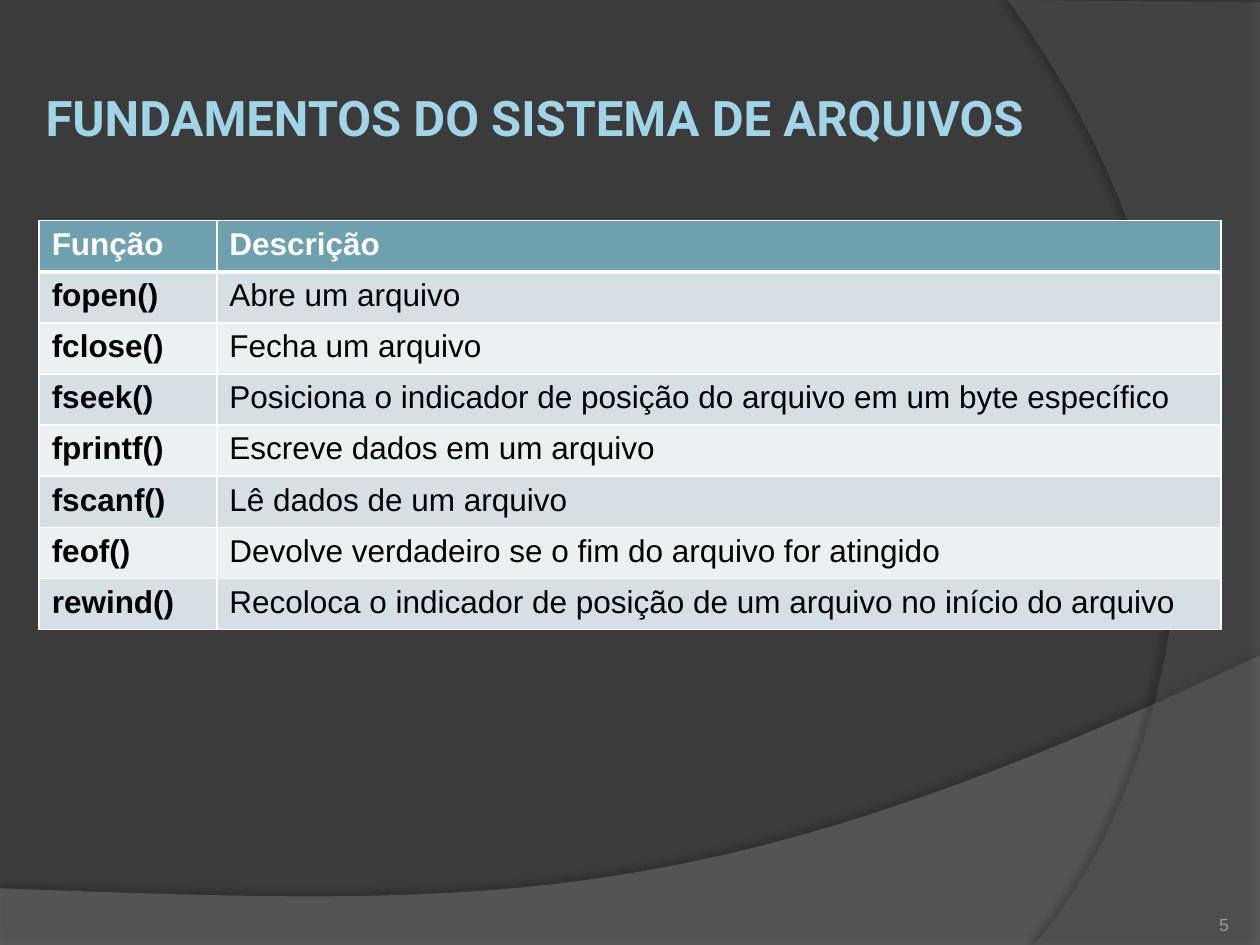
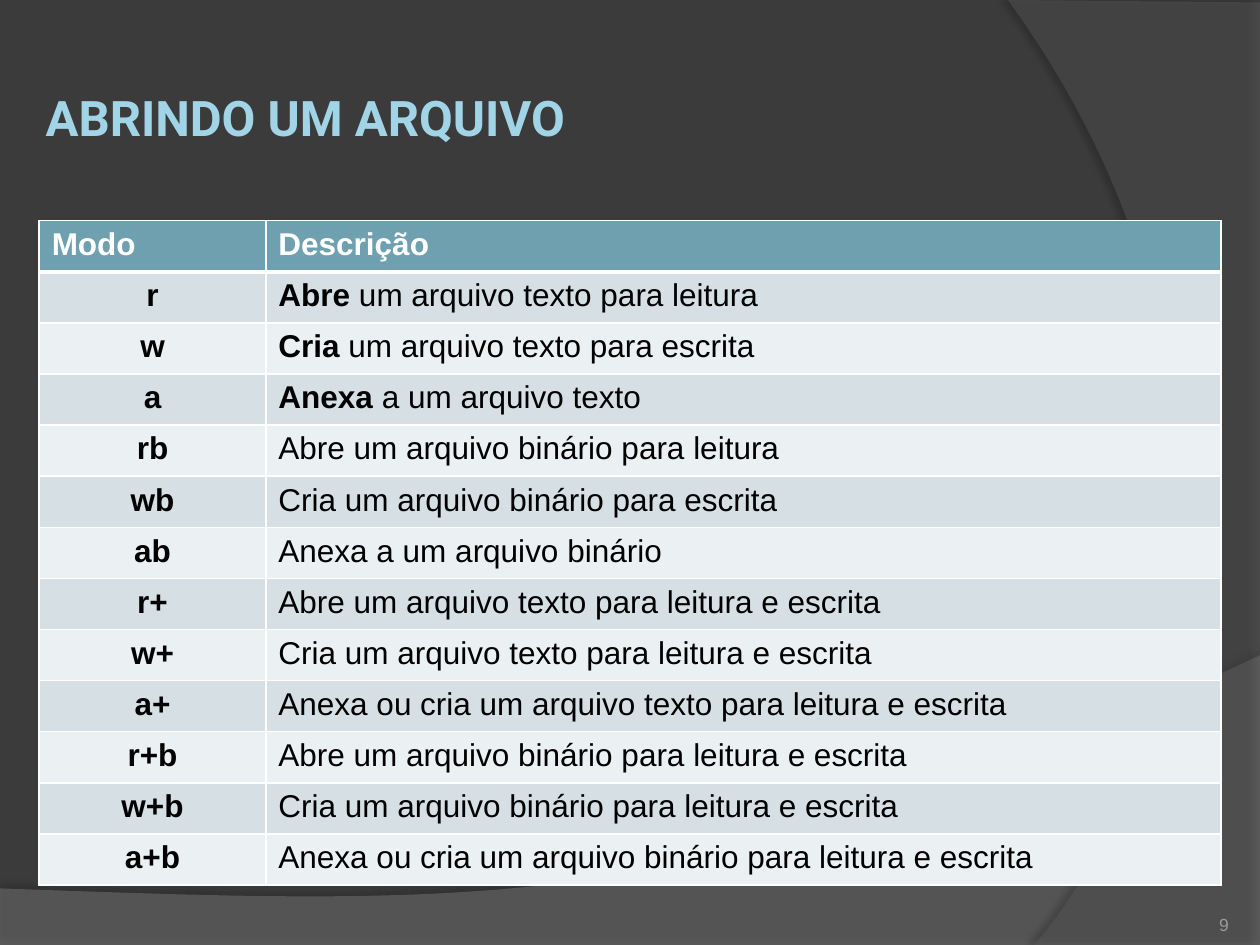
from lxml import etree
from pptx import Presentation
from pptx.dml.color import RGBColor
from pptx.enum.text import MSO_ANCHOR, PP_ALIGN
from pptx.oxml.ns import qn
from pptx.util import Cm, Pt

LEFT, MID, RIGHT = PP_ALIGN.LEFT, PP_ALIGN.CENTER, PP_ALIGN.RIGHT
CENTER, BOTTOM = MSO_ANCHOR.MIDDLE, MSO_ANCHOR.BOTTOM

BACK = RGBColor(0x3B, 0x3B, 0x3B)
SWEEP = RGBColor(0x7F, 0x7F, 0x7F)
ARC = RGBColor(0x5E, 0x5E, 0x5E)
SKY = RGBColor(0xA1, 0xD4, 0xE7)
TEAL = RGBColor(0x6E, 0xA0, 0xB0)
DARK = RGBColor(0xD5, 0xDF, 0xE4)
PALE = RGBColor(0xEB, 0xF0, 0xF2)
GREY = RGBColor(0x9D, 0x9B, 0x9A)
WHITE = RGBColor(0xFF, 0xFF, 0xFF)
BLACK = RGBColor(0, 0, 0)

WIDE, HIGH = 25.4, 19.05
EDGE, SPAN = 0.79, 23.82
TOP, ROW = 4.45, 1.03

SLIDES = [
    {
        "title": "FUNDAMENTOS DO SISTEMA DE ARQUIVOS",
        "page": "5",
        "first": 3.58,
        "align": LEFT,
        "rows": [
            ("Função", "Descrição"),
            ("fopen()", "Abre um arquivo"),
            ("fclose()", "Fecha um arquivo"),
            ("fseek()", "Posiciona o indicador de posição do arquivo em um byte específico"),
            ("fprintf()", "Escreve dados em um arquivo"),
            ("fscanf()", "Lê dados de um arquivo"),
            ("feof()", "Devolve verdadeiro se o fim do arquivo for atingido"),
            ("rewind()", "Recoloca o indicador de posição de um arquivo no início do arquivo"),
        ],
    },
    {
        "title": "ABRINDO UM ARQUIVO",
        "page": "9",
        "first": 4.57,
        "align": MID,
        "rows": [
            ("Modo", "Descrição"),
            ("r", "*Abre* um arquivo texto para leitura"),
            ("w", "*Cria* um arquivo texto para escrita"),
            ("a", "*Anexa* a um arquivo texto"),
            ("rb", "Abre um arquivo binário para leitura"),
            ("wb", "Cria um arquivo binário para escrita"),
            ("ab", "Anexa a um arquivo binário"),
            ("r+", "Abre um arquivo texto para leitura e escrita"),
            ("w+", "Cria um arquivo texto para leitura e escrita"),
            ("a+", "Anexa ou cria um arquivo texto para leitura e escrita"),
            ("r+b", "Abre um arquivo binário para leitura e escrita"),
            ("w+b", "Cria um arquivo binário para leitura e escrita"),
            ("a+b", "Anexa ou cria um arquivo binário para leitura e escrita"),
        ],
    },
]

BANDS = [
    {
        "curve": [(WIDE, 13.21), (14.2, 18.52), (9.93, 18.26), (0, 17.91)],
        "rest": [(0, HIGH), (WIDE, HIGH)],
        "color": SWEEP, "alpha": 45, "shade": 35, "dist": 3.5, "angle": 270,
    },
    {
        "curve": [(20.85, HIGH), (23.75, 15.72), (25.86, 7.62), (20.32, 0)],
        "rest": [(WIDE, 0.05), (WIDE, HIGH)],
        "color": ARC, "alpha": 40, "shade": 45, "dist": 4, "angle": 180,
    },
]


def node(parent, tag, **attrs):
    return etree.SubElement(parent, qn(tag), {k: str(v) for k, v in attrs.items()})


def bezier(a, b, c, d, steps=40):
    for i in range(steps + 1):
        t = i / steps
        u = 1 - t
        yield tuple(u**3 * p + 3 * u * u * t * q + 3 * u * t * t * r + t**3 * s
                    for p, q, r, s in zip(a, b, c, d))


def add_band(slide, layout, band, ident):
    dots = [(Cm(x), Cm(y)) for x, y in [*bezier(*band["curve"]), *band["rest"]]]
    pen = slide.shapes.build_freeform(*dots[0])
    pen.add_line_segments(dots[1:], close=True)
    shape = pen.convert_to_shape()
    shape.fill.solid()
    shape.fill.fore_color.rgb = band["color"]
    shape.line.fill.background()
    shape.shadow.inherit = False
    props = shape.element.spPr
    tint = props.find(qn("a:solidFill")).find(qn("a:srgbClr"))
    node(tint, "a:alpha", val=band["alpha"] * 1000)
    glow = node(props.find(qn("a:effectLst")), "a:outerShdw", blurRad=Pt(4),
                dist=Pt(band["dist"]), dir=band["angle"] * 60000, rotWithShape=0)
    tone = node(glow, "a:srgbClr", val=BLACK)
    node(tone, "a:alpha", val=band["shade"] * 1000)
    shape.element.nvSpPr.cNvPr.set("id", str(ident))
    layout.shapes.element.append(shape.element)


def add_run(para, text, size, color, bold=False, font="Arial"):
    run = para.add_run()
    run.text = text
    run.font.name = font
    run.font.size = Pt(size)
    run.font.bold = bold
    run.font.color.rgb = color


def set_frame(frame, anchor, inset):
    frame.word_wrap = True
    frame.vertical_anchor = anchor
    frame.margin_left = frame.margin_right = Cm(inset)
    frame.margin_top = frame.margin_bottom = Cm(inset)


def place(shape, x, y, w, h):
    shape.left, shape.top, shape.width, shape.height = map(Cm, (x, y, w, h))


def add_title(slide, text):
    title = slide.shapes.title
    place(title, EDGE, 0.76, SPAN, 3.18)
    set_frame(title.text_frame, CENTER, 0.13)
    para = title.text_frame.paragraphs[0]
    para.alignment = LEFT
    add_run(para, text, 28, SKY, True, "Roboto")


def add_page(slide, text):
    box = slide.shapes.add_textbox(Cm(22.66), Cm(17.83), Cm(2.11), Cm(1.02))
    set_frame(box.text_frame, BOTTOM, 0)
    para = box.text_frame.paragraphs[0]
    para.alignment = RIGHT
    add_run(para, text, 10, GREY)


def set_edges(cell, row):
    props = cell.element.get_or_add_tcPr() if hasattr(cell, "element") else cell._tc.get_or_add_tcPr()
    widths = {"L": 1, "R": 1, "T": 3 if row == 1 else 1, "B": 3 if row == 0 else 1}
    for side, width in widths.items():
        line = node(props, "a:ln" + side, w=Pt(width))
        node(node(line, "a:solidFill"), "a:srgbClr", val=WHITE)


def add_grid(slide, data):
    rows = data["rows"]
    frame = slide.shapes.add_table(len(rows), 2, Cm(EDGE), Cm(TOP),
                                   Cm(SPAN), Cm(ROW * len(rows)))
    table = frame.table
    table.columns[0].width = Cm(data["first"])
    table.columns[1].width = Cm(SPAN - data["first"])
    for r, texts in enumerate(rows):
        table.rows[r].height = Cm(ROW)
        for c, text in enumerate(texts):
            cell = table.cell(r, c)
            set_edges(cell, r)
            cell.fill.solid()
            cell.fill.fore_color.rgb = TEAL if r == 0 else DARK if r % 2 else PALE
            para = cell.text_frame.paragraphs[0]
            para.alignment = data["align"] if r and c == 0 else LEFT
            for i, part in enumerate(text.split("*")):
                if part:
                    bold = r == 0 or c == 0 or i % 2 == 1
                    add_run(para, part, 18, BLACK if r else WHITE, bold)


deck = Presentation()
deck.slide_width, deck.slide_height = Cm(WIDE), Cm(HIGH)
ground = deck.slide_master.background.fill
ground.solid()
ground.fore_color.rgb = BACK
layout = deck.slide_layouts[5]

for n, data in enumerate(SLIDES):
    slide = deck.slides.add_slide(layout)
    if n == 0:
        for ident, band in enumerate(BANDS, 20):
            add_band(slide, layout, band, ident)
    add_title(slide, data["title"])
    add_grid(slide, data)
    add_page(slide, data["page"])

deck.save("out.pptx")
